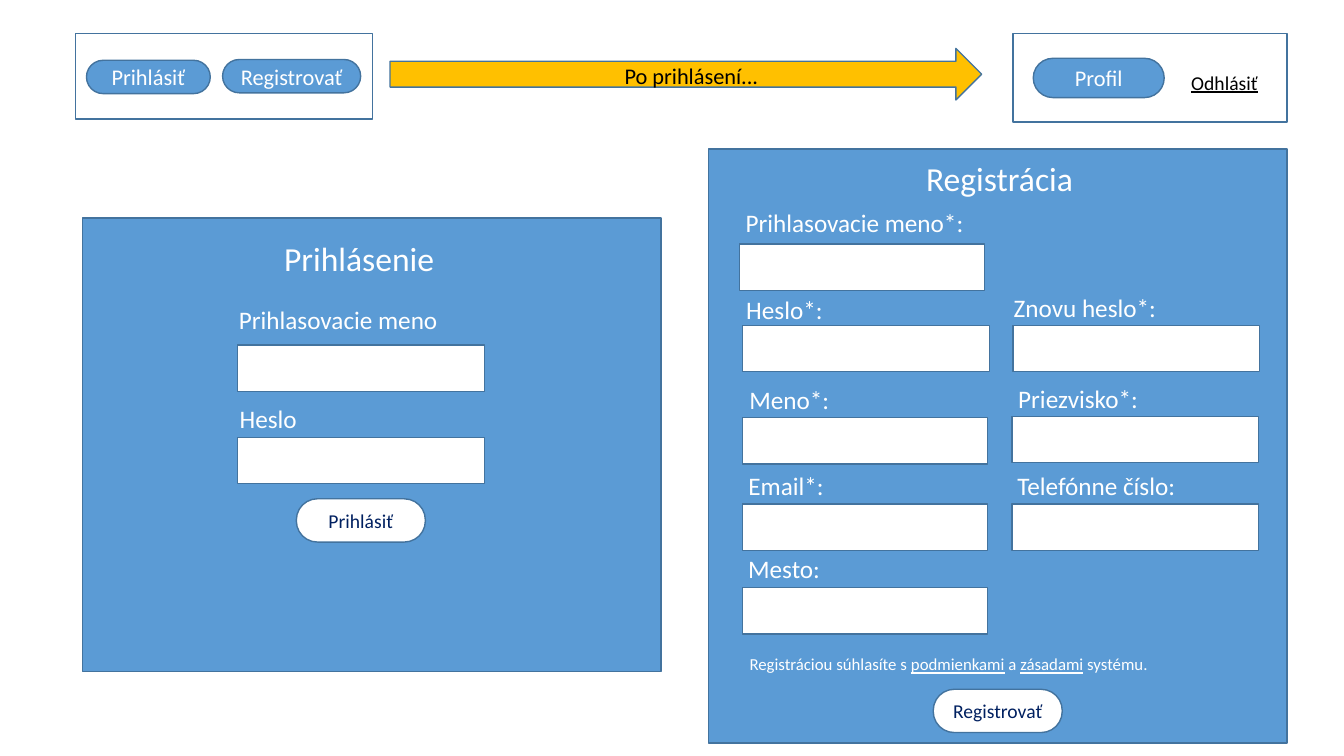
from pptx import Presentation
from pptx.dml.color import RGBColor
from pptx.enum.shapes import MSO_SHAPE as Shape
from pptx.enum.text import MSO_ANCHOR as Anchor, MSO_AUTO_SIZE as AutoSize, PP_ALIGN as Align
from pptx.util import Cm, Pt

COLORS = {
    "blue": "5B9BD5",
    "outline": "43739E",
    "white": "FFFFFF",
    "navy": "002060",
    "black": "000000",
    "amber": "FFC000",
}
FIELD_HEIGHT = 1.17
LABEL_HEIGHT = 1.02

# label, label left, top and width, field left, top and width, alignment
LOGIN_FIELDS = [
    ("Prihlasovacie meno", (5.77, 7.54, 5.74), (5.99, 8.69, 6.22), Align.LEFT),
    ("Heslo", (5.79, 10.03, 1.98), (5.99, 11.02, 6.22), Align.LEFT),
]
REGISTRATION_FIELDS = [
    ("Prihlasovacie meno*:", (18.54, 5.11, 6.07), (18.64, 6.15, 6.17), Align.LEFT),
    ("Heslo*:", (18.54, 7.29, 2.46), (18.72, 8.2, 6.22), Align.CENTER),
    ("Znovu heslo*:", (25.27, 7.24, 4.14), (25.53, 8.2, 6.22), Align.CENTER),
    ("Meno*:", (18.62, 9.55, 2.54), (18.72, 10.52, 6.17), Align.CENTER),
    ("Priezvisko*:", (25.1, 9.53, 4.14), (25.5, 10.49, 6.22), Align.CENTER),
    ("Email*:", (18.59, 11.73, 2.44), (18.72, 12.7, 6.17), Align.CENTER),
    ("Telefónne číslo:", (25.04, 11.73, 5.18), (25.5, 12.7, 6.22), Align.CENTER),
    ("Mesto:", (18.59, 13.82, 2.34), (18.72, 14.81, 6.17), Align.CENTER),
]
TERMS = [
    ("Registráciou súhlasíte s ", False),
    ("podmienkami", True),
    (" a ", False),
    ("zásadami", True),
    (" systému.", False),
]


def rgb(color):
    return RGBColor.from_string(COLORS[color])


def add_run(paragraph, text, size, color, underline=False):
    run = paragraph.add_run()
    run.text = text
    font_format = {"name": "Calibri", "size": Pt(size), "underline": underline or None}
    for attribute, value in font_format.items():
        setattr(run.font, attribute, value)
    run.font.color.rgb = rgb(color)


def add_block(slide, box, fill=None, kind=Shape.RECTANGLE):
    """Add an outlined shape; without a fill it stays see-through."""
    block = slide.shapes.add_shape(kind, *map(Cm, box))
    block.shadow.inherit = False
    if fill:
        block.fill.solid()
        block.fill.fore_color.rgb = rgb(fill)
    else:
        block.fill.background()
    block.line.color.rgb = rgb("outline")
    block.line.width = Pt(1)
    return block


def add_button(slide, text, box, fill, color, size, rounding=0.5):
    button = add_block(slide, box, fill, Shape.ROUNDED_RECTANGLE)
    button.adjustments[0] = rounding
    frame = button.text_frame
    frame_format = {"vertical_anchor": Anchor.MIDDLE, "word_wrap": True,
                    "margin_top": 0, "margin_bottom": 0}
    for attribute, value in frame_format.items():
        setattr(frame, attribute, value)
    frame.paragraphs[0].alignment = Align.CENTER
    add_run(frame.paragraphs[0], text, size, color)


def add_text(slide, runs, box, size, color="white", align=Align.LEFT, wrap=False):
    """Add one line of text from (text, underlined) pairs."""
    frame = slide.shapes.add_textbox(*map(Cm, box)).text_frame
    frame.word_wrap = wrap
    frame.auto_size = AutoSize.SHAPE_TO_FIT_TEXT
    frame.paragraphs[0].alignment = align
    for text, underline in runs:
        add_run(frame.paragraphs[0], text, size, color, underline)


def add_form(slide, title, title_box, panel_box, fields, submit, submit_box):
    add_block(slide, panel_box, "blue")
    add_text(slide, [(title, False)], title_box, 24)
    for label, label_place, field_place, align in fields:
        add_block(slide, (*field_place, FIELD_HEIGHT), "white")
        add_text(slide, [(label, False)], (*label_place, LABEL_HEIGHT), 18, align=align)
    add_button(slide, submit, submit_box, "white", "navy", 14, rounding=0.486)


def add_header(slide):
    """Show the account buttons before and after logging in."""
    add_block(slide, (1.9, 0.84, 7.49, 2.16))
    add_block(slide, (25.53, 0.84, 6.91, 2.24))
    for text, box in [
        ("Prihlásiť", (2.18, 1.52, 3.12, 0.84)),
        ("Registrovať", (5.61, 1.5, 3.48, 0.84)),
        ("Profil", (26.04, 1.47, 3.3, 0.99)),
    ]:
        add_button(slide, text, box, "blue", "white", 16)
    add_text(slide, [("Odhlásiť", True)], (29.77, 1.65, 2.21, 0.86), 14, "black")
    add_block(slide, (9.83, 1.22, 14.91, 1.3), "amber", Shape.RIGHT_ARROW)
    add_text(slide, [("Po prihlásení...", False)], (15.49, 1.45, 4.7, 0.94), 16, "black", wrap=True)


def main():
    deck = Presentation()
    deck.slide_width, deck.slide_height = Cm(33.87), Cm(19.05)
    slide = deck.slides.add_slide(deck.slide_layouts[6])
    add_header(slide)
    add_form(slide, "Prihlásenie", (6.91, 5.87, 4.34, 1.27), (2.08, 5.49, 14.58, 11.43),
             LOGIN_FIELDS, "Prihlásiť", (7.47, 12.57, 3.25, 1.09))
    add_form(slide, "Registrácia", (23.09, 3.86, 4.24, 1.27), (17.86, 3.76, 14.58, 14.96),
             REGISTRATION_FIELDS, "Registrovať", (23.52, 17.37, 3.25, 1.09))
    add_text(slide, TERMS, (18.64, 16.36, 10.67, 0.76), 12)
    deck.save("out.pptx")


if __name__ == "__main__":
    main()
